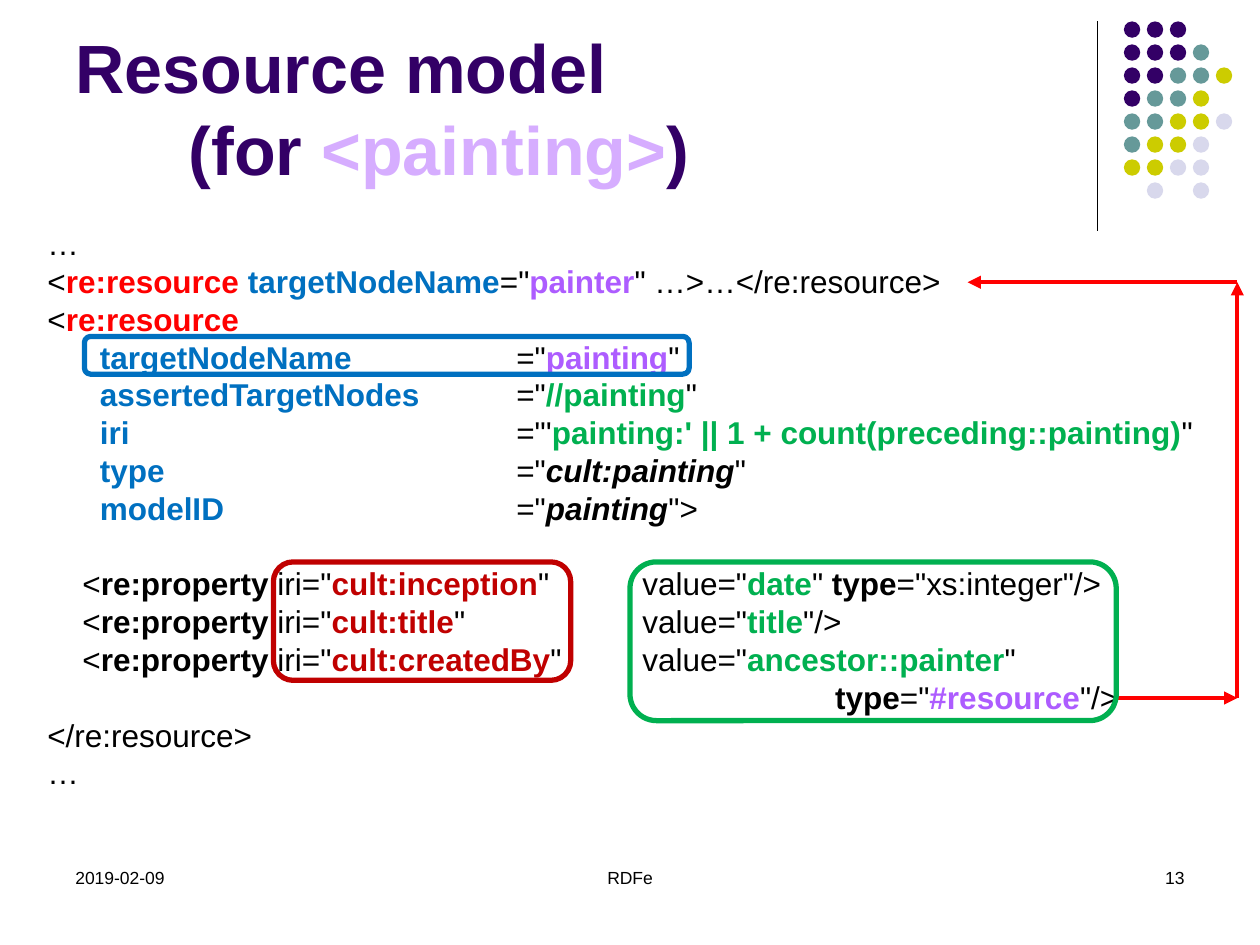
import pptx
import pptx.dml.color
import pptx.enum.shapes
import pptx.enum.text
import pptx.oxml.ns
import pptx.util
from lxml import etree
from pptx.util import Inches

SHAPES = pptx.enum.shapes.MSO_SHAPE
ALIGN = pptx.enum.text.PP_ALIGN
ANCHOR = pptx.enum.text.MSO_ANCHOR
qn = pptx.oxml.ns.qn

STYLES = {
    "plain": ("000000", False, False),
    "strong": ("000000", True, False),
    "model": ("000000", True, True),
    "element": ("FF0000", True, False),
    "attribute": ("0070C0", True, False),
    "node": ("AD5CFF", True, False),
    "xpath": ("00B050", True, False),
    "property": ("C00000", True, False),
    "title": ("330066", True, False),
    "title_node": ("D6ADFF", True, False),
}

DOT_COLORS = {"P": "330066", "T": "669999", "Y": "CCCC00", "L": "D8D8EC"}
DOT_ROWS = ["PPP", "PPPT", "PPTTY", "PTTY", "TTYYL", "TYYL", "YYLL", " L L"]
DOT_PITCH = 0.73 / 4
CODE_SIZE = 18
TITLE_SIZE = 39


def rgb(color):
    return pptx.dml.color.RGBColor.from_string(color)


def add_dots(slide):
    for row, codes in enumerate(DOT_ROWS):
        for col, code in enumerate(codes):
            if code == " ":
                continue
            sp = slide.shapes.add_shape(
                SHAPES.OVAL, Inches(8.92 + col * DOT_PITCH),
                Inches(0.17 + row * DOT_PITCH), Inches(0.13), Inches(0.13))
            sp.shadow.inherit = False
            sp.fill.solid()
            sp.fill.fore_color.rgb = rgb(DOT_COLORS[code])
            sp.line.fill.background()


def add_line(slide, start, end, color, width, arrow=False):
    points = [Inches(v) for v in start + end]
    cxn = slide.shapes.add_connector(pptx.enum.shapes.MSO_CONNECTOR.STRAIGHT, *points)
    cxn.line.color.rgb = rgb(color)
    cxn.line.width = pptx.util.Pt(width)
    if arrow:
        ln = cxn.line._get_or_add_ln()
        etree.SubElement(ln, qn("a:tailEnd"), type="triangle")
    etree.SubElement(cxn._element.spPr, qn("a:effectLst"))


def add_frame(slide, box, color):
    sp = slide.shapes.add_shape(SHAPES.ROUNDED_RECTANGLE, *[Inches(v) for v in box])
    sp.shadow.inherit = False
    sp.fill.background()
    sp.line.color.rgb = rgb(color)
    sp.line.width = pptx.util.Pt(3)


def add_box(slide, box, wrap=True, anchor=ANCHOR.TOP):
    tf = slide.shapes.add_textbox(*[Inches(v) for v in box]).text_frame
    tf.word_wrap = wrap
    tf.vertical_anchor = anchor
    return tf


def add_runs(p, runs, size):
    p.line_spacing = pptx.util.Pt(size * 1.2)
    for text, style in runs:
        color, bold, italic = STYLES[style]
        r = p.add_run()
        r.text = text
        r.font.name = "Arial"
        r.font.size = pptx.util.Pt(size)
        r.font.color.rgb = rgb(color)
        r.font.bold = bold
        r.font.italic = italic


def next_paragraph(tf, index):
    return tf.paragraphs[0] if index == 0 else tf.add_paragraph()


def add_title(slide):
    tf = add_box(slide, (0.5, 0.13, 8.25, 1.42), anchor=ANCHOR.BOTTOM)
    add_runs(tf.paragraphs[0], [("Resource model", "title")], TITLE_SIZE)
    p = tf.add_paragraph()
    p._p.get_or_add_pPr().set("marL", str(Inches(0.9)))
    add_runs(p, [("(for ", "title"), ("<painting>", "title_node"), (")", "title")], TITLE_SIZE)


def attribute_line(name, value, style, opening='="', closing='"'):
    return 4, [(" " * 10, "plain"), (name + "\t", "attribute"), (opening, "plain"),
               (value, style), (closing, "plain")]


def property_line(iri, value, *rest):
    return 5, [(" " * 8 + "<", "plain"), ("re:property", "strong"), (' iri="', "plain"),
               (iri, "property"), ('"\tvalue="', "plain"), (value, "xpath"), *rest]


def add_code(slide):
    first_property = property_line(
        "cult:inception", "date", ('" ', "plain"), ("type", "strong"),
        ('="xs:integer"/>', "plain"))
    lines = [
        (None, [("    …", "plain")]),
        (None, [("    <", "plain"), ("re:resource ", "element"),
                ("targetNodeName", "attribute"), ('="', "plain"), ("painter", "node"),
                ('" …>…</re:resource>', "plain")]),
        (None, [("    <", "plain"), ("re:resource", "element")]),
        attribute_line("targetNodeName", "painting", "node"),
        attribute_line("assertedTargetNodes", "//painting", "xpath"),
        attribute_line("iri", "painting:' || 1 + count(preceding::painting)", "xpath",
                       opening="=\"'"),
        attribute_line("type", "cult:painting", "model"),
        attribute_line("modelID", "painting", "model", closing='">'),
        first_property,
        property_line("cult:title", "title", ('"/>', "plain")),
        property_line("cult:createdBy", "ancestor::painter", ('"', "plain")),
        (6.53, [("\t", "plain"), ("type", "strong"), ('="', "plain"),
                ("#resource", "node"), ('"/>', "plain")]),
        (None, [("    </re:resource>", "plain")]),
        (None, [("    …", "plain")]),
    ]
    tf = add_box(slide, (0, 1.73, 9.66, 4.64), wrap=False)
    for index, (tab, runs) in enumerate(lines):
        p = next_paragraph(tf, index)
        if tab:
            tabs = etree.SubElement(p._p.get_or_add_pPr(), qn("a:tabLst"))
            etree.SubElement(tabs, qn("a:tab"), pos=str(Inches(tab)), algn="l")
        if runs is first_property[1]:
            p.space_before = pptx.util.Pt(CODE_SIZE * 1.2)
        add_runs(p, runs, CODE_SIZE)


def add_footer(slide, left, width, text, align):
    tf = add_box(slide, (left, 6.83, width, 0.5))
    p = tf.paragraphs[0]
    p.alignment = align
    add_runs(p, [(text, "plain")], 10)


def main():
    prs = pptx.Presentation()
    prs.slide_width, prs.slide_height = Inches(10), Inches(7.5)
    s = prs.slides.add_slide(prs.slide_layouts[6])
    add_line(s, (8.71, 0.17), (8.71, 1.83), "000000", 0.75)
    add_dots(s)
    add_title(s)
    add_code(s)
    route = [(8.87, 5.54), (9.82, 5.54), (9.82, 2.24), (7.68, 2.24)]
    for start, end in zip(route, route[1:]):
        add_line(s, start, end, "FF0000", 2.5, arrow=True)
    add_footer(s, 0.5, 2.33, "2019-02-09", ALIGN.LEFT)
    add_footer(s, 3.19, 3.62, "RDFe", ALIGN.CENTER)
    add_footer(s, 7.17, 2.33, "13", ALIGN.RIGHT)
    add_frame(s, (5, 4.46, 3.86, 1.26), "00B050")
    add_frame(s, (2.17, 4.46, 2.36, 0.94), "C00000")
    add_frame(s, (0.67, 2.67, 4.8, 0.3), "0070C0")
    prs.save("out.pptx")


if __name__ == "__main__":
    main()
